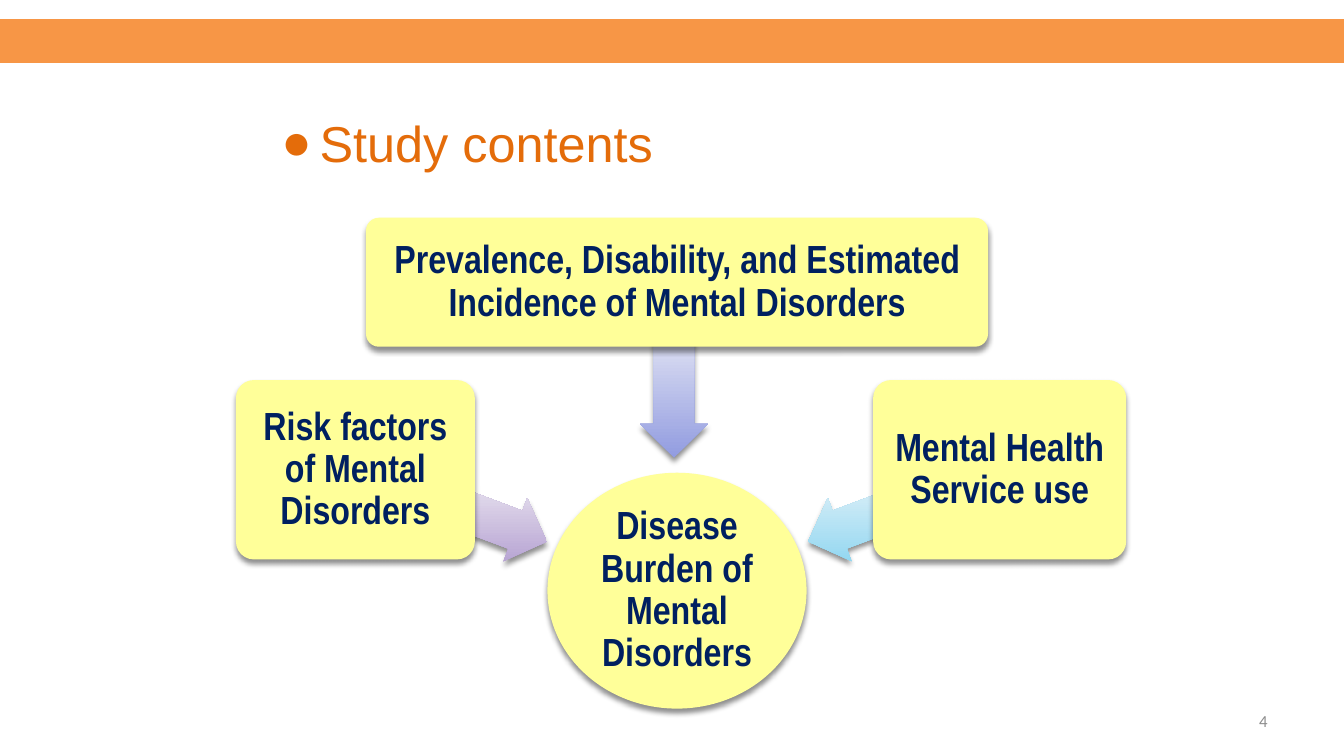
from pptx import Presentation
from pptx.dml.color import RGBColor
from pptx.enum.shapes import MSO_SHAPE as SHAPE
from pptx.enum.text import MSO_ANCHOR as ANCHOR, MSO_AUTO_SIZE as AUTO_SIZE, PP_ALIGN as ALIGN
from pptx.oxml import parse_xml
from pptx.oxml.ns import nsdecls
from pptx.util import Inches, Pt

BAR_ORANGE = RGBColor(0xF7, 0x96, 0x46)
TITLE_ORANGE = RGBColor(0xE4, 0x6C, 0x0A)
TOPIC_YELLOW = RGBColor(0xFF, 0xFF, 0x99)
TOPIC_NAVY = RGBColor(0x00, 0x20, 0x60)
NUMBER_GREY = RGBColor(0x8C, 0x8C, 0x8C)
SHADOW_BLACK = RGBColor(0x00, 0x00, 0x00)
# Arrow shades run from the bottom up, at these percentages
SHADE_STOPS = (0, 62, 100)
PURPLES = (RGBColor(0xB1, 0x9C, 0xCF), RGBColor(0xE2, 0xDB, 0xEC), RGBColor(0xEA, 0xE6, 0xF1))
BLUES = (RGBColor(0x92, 0x9C, 0xE0), RGBColor(0xD8, 0xDB, 0xF1), RGBColor(0xE3, 0xE5, 0xF5))
CYANS = (RGBColor(0x89, 0xD4, 0xF0), RGBColor(0xD5, 0xED, 0xF7), RGBColor(0xE1, 0xF2, 0xF9))


def add_run(paragraph, text, font_name, size, color, bold=False):
    run = paragraph.add_run()
    run.text = text
    run.font.name = font_name
    run.font.size = Pt(size)
    run.font.bold = bold
    run.font.color.rgb = color


def add_shape(slide, preset, box):
    shape = slide.shapes.add_shape(preset, *map(Inches, box))
    shape.shadow.inherit = False
    shape.line.fill.background()
    return shape


def drop_shadow(shape):
    effects = shape._element.spPr.find("{*}effectLst")
    effects.append(parse_xml(
        f'<a:outerShdw {nsdecls("a")} blurRad="{Pt(4)}" dist="{Pt(3)}" dir="5400000"'
        f' algn="ctr" rotWithShape="0"><a:srgbClr val="{SHADOW_BLACK}">'
        '<a:alpha val="43000"/></a:srgbClr></a:outerShdw>'))


def add_bar(slide):
    bar = add_shape(slide, SHAPE.RECTANGLE, (0, 0.21, 13.33, 0.39))
    bar.fill.solid()
    bar.fill.fore_color.rgb = BAR_ORANGE
    bar.line.color.rgb = BAR_ORANGE
    bar.line.width = Pt(3)


def format_title(slide, text):
    title = slide.shapes.title
    title.left, title.top, title.width, title.height = map(Inches, (2.69, 0.76, 8.5, 0.83))
    frame = title.text_frame
    frame.word_wrap = True
    frame.auto_size = AUTO_SIZE.NONE
    frame.vertical_anchor = ANCHOR.TOP
    heading = frame.paragraphs[0]
    heading.alignment = ALIGN.LEFT
    heading.line_spacing = 1.5
    # Hanging round bullet
    properties = heading._p.get_or_add_pPr()
    properties.set("marL", str(Inches(0.38)))
    properties.set("indent", str(Inches(-0.38)))
    properties.append(parse_xml(f'<a:buFont {nsdecls("a")} typeface="Arial"/>'))
    properties.append(parse_xml(f'<a:buChar {nsdecls("a")} char="●"/>'))
    add_run(heading, text, "Arial", 36, TITLE_ORANGE)


def add_topic(slide, preset, box, text, margin):
    topic = add_shape(slide, preset, box)
    if preset == SHAPE.ROUNDED_RECTANGLE:
        topic.adjustments[0] = 0.1
    topic.fill.solid()
    topic.fill.fore_color.rgb = TOPIC_YELLOW
    drop_shadow(topic)
    frame = topic.text_frame
    frame.word_wrap = True
    frame.vertical_anchor = ANCHOR.MIDDLE
    frame.margin_left = frame.margin_right = Inches(margin)
    frame.margin_top = frame.margin_bottom = Inches(margin)
    label = frame.paragraphs[0]
    label.alignment = ALIGN.CENTER
    label.line_spacing = 0.9
    add_run(label, text, "Arial Narrow", 28, TOPIC_NAVY, bold=True)


def add_arrow(slide, box, rotation, shades):
    arrow = add_shape(slide, SHAPE.LEFT_ARROW, box)
    arrow.adjustments[0] = 0.6
    arrow.adjustments[1] = 0.5
    arrow.rotation = rotation
    drop_shadow(arrow)
    # Three-stop shade that stays upright when the arrow turns
    stops = "".join(f'<a:gs pos="{stop * 1000}"><a:srgbClr val="{shade}"/></a:gs>'
                    for stop, shade in zip(SHADE_STOPS, shades))
    arrow._element.spPr.find("{*}prstGeom").addnext(parse_xml(
        f'<a:gradFill {nsdecls("a")} rotWithShape="0"><a:gsLst>{stops}</a:gsLst>'
        '<a:lin ang="16200000" scaled="0"/></a:gradFill>'))


def add_slide_number(slide, number):
    number_box = slide.shapes.add_textbox(*map(Inches, (9.56, 6.95, 3.11, 0.4)))
    frame = number_box.text_frame
    frame.word_wrap = True
    frame.vertical_anchor = ANCHOR.MIDDLE
    frame.paragraphs[0].alignment = ALIGN.RIGHT
    add_run(frame.paragraphs[0], number, "Calibri", 12, NUMBER_GREY)


def main():
    deck = Presentation()
    deck.slide_width, deck.slide_height = Inches(13.33), Inches(7.5)
    slide = deck.slides.add_slide(deck.slide_layouts[5])

    # Header and slide number
    add_bar(slide)
    format_title(slide, "Study contents")
    add_slide_number(slide, "4")

    # Central outcome
    add_topic(slide, SHAPE.OVAL, (5.43, 4.69, 2.57, 2.34),
              "Disease Burden of Mental Disorders", 0.02)

    # Contributing topics, each in front of its arrow
    contributors = [
        ("Risk factors of Mental Disorders", (2.34, 3.77, 2.37, 1.78),
         (3.46, 4.68, 2.03, 0.67), 200.6, PURPLES),
        ("Prevalence, Disability, and Estimated Incidence of Mental Disorders",
         (3.63, 2.16, 6.17, 1.28), (5.79, 3.31, 1.79, 0.67), 270, BLUES),
        ("Mental Health Service use", (8.66, 3.77, 2.51, 1.78),
         (7.95, 4.68, 2.03, 0.67), 339.4, CYANS),
    ]
    for text, topic_box, arrow_box, rotation, shades in contributors:
        add_arrow(slide, arrow_box, rotation, shades)
        add_topic(slide, SHAPE.ROUNDED_RECTANGLE, topic_box, text, 0.06)

    deck.save("out.pptx")


if __name__ == "__main__":
    main()
